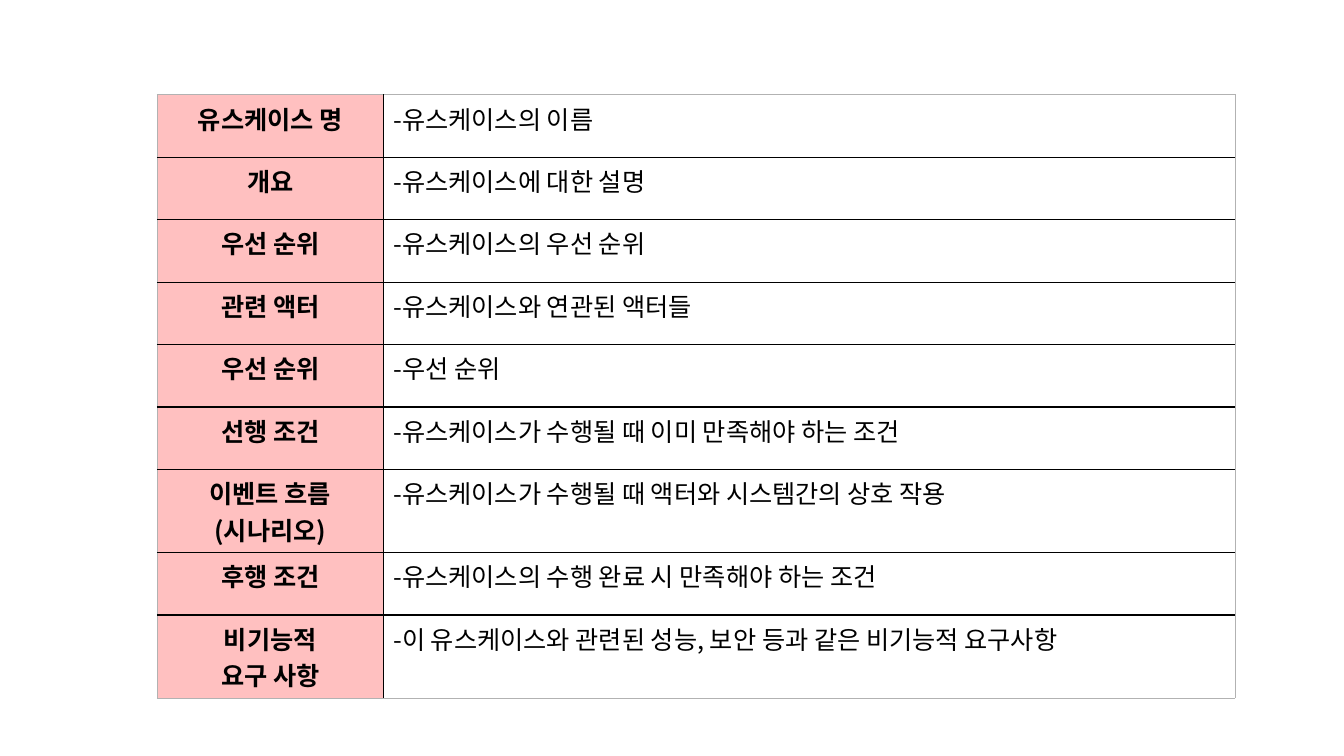
from dataclasses import dataclass

from lxml import etree
from pptx import Presentation
from pptx import util as u
from pptx.dml.color import RGBColor
from pptx.enum import text
from pptx.oxml import ns


@dataclass(frozen=True)
class Theme:
    font: str = "Noto Sans CJK KR"
    size: int = 18
    ink: str = "000000"
    label_fill: str = "FFC0C0"
    outer_line: str = "B2B2B2"
    inner_pt: float = 1
    outer_pt: float = 0.5


THEME = Theme()
COLUMNS = (2.24, 8.44)
ROW_HEIGHT, TALL_ROW_HEIGHT = 0.62, 0.71
USE_CASE = [
    ("유스케이스 명", "-유스케이스의 이름"),
    ("개요", "-유스케이스에 대한 설명"),
    ("우선 순위", "-유스케이스의 우선 순위"),
    ("관련 액터", "-유스케이스와 연관된 액터들"),
    ("우선 순위", "-우선 순위"),
    ("선행 조건", "-유스케이스가 수행될 때 이미 만족해야 하는 조건"),
    ("이벤트 흐름\n(시나리오)", "-유스케이스가 수행될 때 액터와 시스템간의 상호 작용"),
    ("후행 조건", "-유스케이스의 수행 완료 시 만족해야 하는 조건"),
    ("비기능적\n요구 사항", "-이 유스케이스와 관련된 성능, 보안 등과 같은 비기능적 요구사항"),
]


def set_borders(cell, outer_sides):
    tc_pr = cell._tc.get_or_add_tcPr()
    for side, outer in outer_sides.items():
        width = THEME.outer_pt if outer else THEME.inner_pt
        color = THEME.outer_line if outer else THEME.ink
        ln = etree.SubElement(tc_pr, ns.qn(f"a:ln{side}"), w=str(u.Pt(width)))
        fill = etree.SubElement(ln, ns.qn("a:solidFill"))
        etree.SubElement(fill, ns.qn("a:srgbClr"), val=color)


def write_cell(cell, content, is_label):
    cell.text = content
    for p in cell.text_frame.paragraphs:
        p.alignment = text.PP_ALIGN.CENTER if is_label else text.PP_ALIGN.LEFT
        p.font.size = u.Pt(THEME.size)
        p.font.bold = is_label
        p.font.color.rgb = RGBColor.from_string(THEME.ink)
        p.font.name = THEME.font
        def_rpr = p._p.pPr.find(ns.qn("a:defRPr"))
        etree.SubElement(def_rpr, ns.qn("a:ea"), typeface=THEME.font)
    if is_label:
        cell.fill.solid()
        cell.fill.fore_color.rgb = RGBColor.from_string(THEME.label_fill)
    else:
        cell.fill.background()


def add_use_case_table(s, left, top, width, height):
    table = s.shapes.add_table(
        len(USE_CASE), len(COLUMNS), u.Inches(left), u.Inches(top),
        u.Inches(width), u.Inches(height)).table
    table.first_row = table.horz_banding = False
    for column, share in zip(table.columns, COLUMNS):
        column.width = u.Inches(width * share / sum(COLUMNS))
    last_row, last_col = len(USE_CASE) - 1, len(COLUMNS) - 1
    for i, entry in enumerate(USE_CASE):
        tall = "\n" in entry[0]
        table.rows[i].height = u.Inches(TALL_ROW_HEIGHT if tall else ROW_HEIGHT)
        for j, content in enumerate(entry):
            cell = table.cell(i, j)
            set_borders(cell, {"L": j == 0, "R": j == last_col,
                               "T": i == 0, "B": i == last_row})
            write_cell(cell, content, is_label=j == 0)


def main():
    prs = Presentation()
    prs.slide_width, prs.slide_height = u.Inches(13.33), u.Inches(7.5)
    s = prs.slides.add_slide(prs.slide_layouts[6])
    add_use_case_table(s, 1.56, 0.94, 10.69, 5.78)
    prs.save("out.pptx")


if __name__ == "__main__":
    main()
